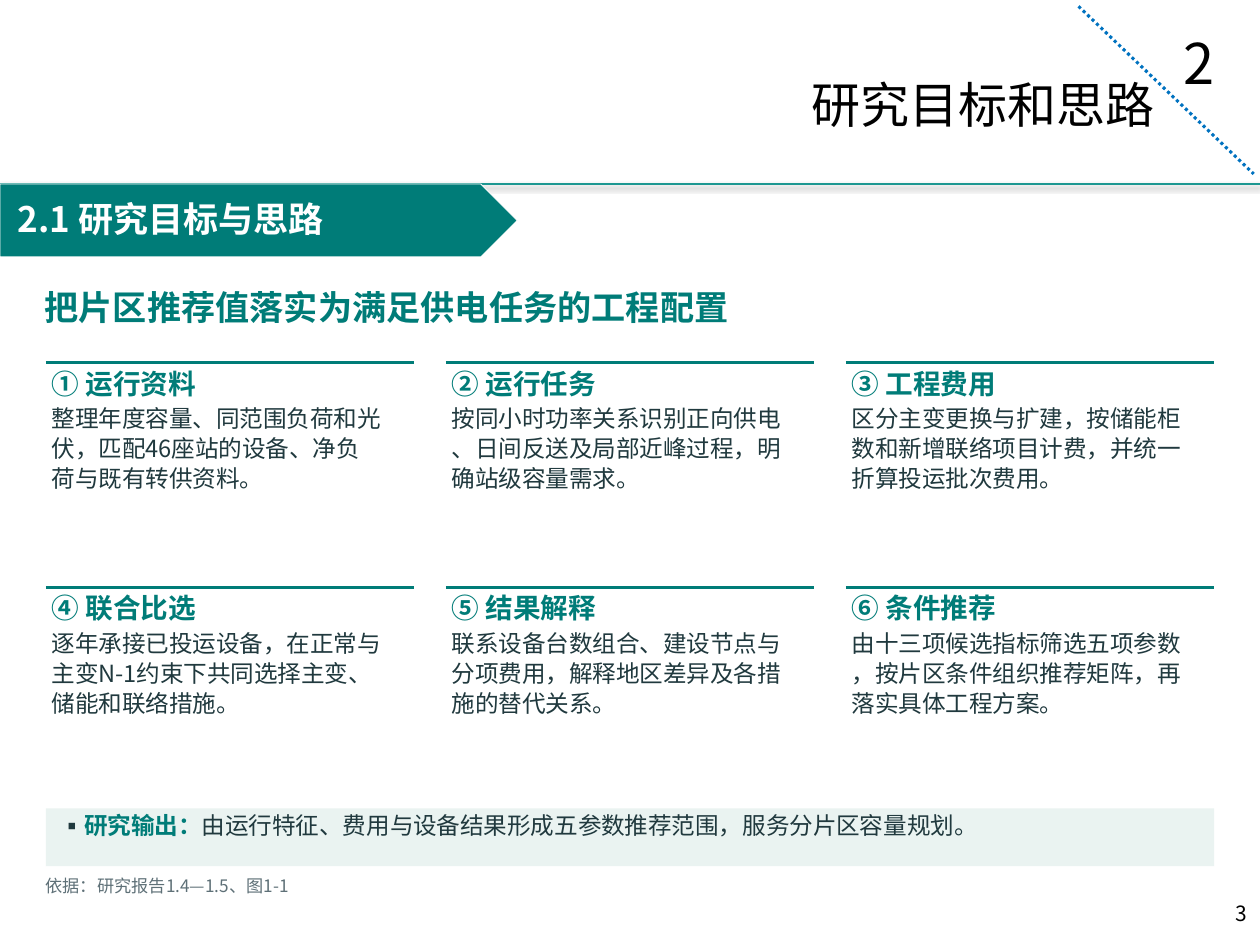
from lxml import etree
from pptx import Presentation
from pptx.dml.color import RGBColor
from pptx.enum import dml, shapes, text
from pptx.oxml import ns
from pptx.util import Pt

FACE = "Noto Sans CJK SC"
TEAL = RGBColor(0x00, 0x7C, 0x78)
SEA = RGBColor(0x1C, 0x97, 0x91)
BLUE = RGBColor(0x00, 0x72, 0xC0)
MINT = RGBColor(0xEA, 0xF3, 0xF1)
INK = RGBColor(0x20, 0x39, 0x3E)
GREY = RGBColor(0x5E, 0x70, 0x77)
BLACK = RGBColor(0, 0, 0)
WHITE = RGBColor(255, 255, 255)

CARDS = [
    ("① 运行资料", "整理年度容量、同范围负荷和光\n伏，匹配46座站的设备、净负\n荷与既有转供资料。"),
    ("② 运行任务", "按同小时功率关系识别正向供电\n、日间反送及局部近峰过程，明\n确站级容量需求。"),
    ("③ 工程费用", "区分主变更换与扩建，按储能柜\n数和新增联络项目计费，并统一\n折算投运批次费用。"),
    ("④ 联合比选", "逐年承接已投运设备，在正常与\n主变N-1约束下共同选择主变、\n储能和联络措施。"),
    ("⑤ 结果解释", "联系设备台数组合、建设节点与\n分项费用，解释地区差异及各措\n施的替代关系。"),
    ("⑥ 条件推荐", "由十三项候选指标筛选五项参数\n，按片区条件组织推荐矩阵，再\n落实具体工程方案。"),
]


def place(shape, box):
    shape.left, shape.top, shape.width, shape.height = map(Pt, box)


def style(font, size, color, bold=False):
    font.name = FACE
    font.size = Pt(size)
    font.bold = bold
    font.color.rgb = color
    latin = font._element.find(ns.qn("a:latin"))
    east = etree.Element(ns.qn("a:ea"), typeface=FACE)
    latin.addnext(east)


def frame(shape, pads=(0, 0, 0, 0), wrap=False):
    tf = shape.text_frame
    tf.margin_left, tf.margin_top, tf.margin_right, tf.margin_bottom = map(Pt, pads)
    tf.word_wrap = wrap
    tf.auto_size = text.MSO_AUTO_SIZE.NONE
    tf.vertical_anchor = text.MSO_ANCHOR.TOP
    return tf


def label(slide, box, words, size, color, bold=False, pads=(0, 0, 0, 0), wrap=False):
    shape = slide.shapes.add_textbox(*map(Pt, box))
    para = frame(shape, pads, wrap).paragraphs[0]
    para.text = words
    style(para.font, size, color, bold)
    return para


def rule(slide, ends, color, width):
    line = slide.shapes.add_connector(shapes.MSO_CONNECTOR.STRAIGHT, *map(Pt, ends))
    line.line.color.rgb = color
    line.line.width = Pt(width)
    effect = etree.SubElement(line._element.spPr, ns.qn("a:effectLst"))
    return line, effect


def block(slide, kind, box, color):
    shape = slide.shapes.add_shape(kind, *map(Pt, box))
    shape.shadow.inherit = False
    shape.fill.solid()
    shape.fill.fore_color.rgb = color
    shape.line.fill.background()
    return shape


def header(slide, box):
    x, y, w, h = box
    line, effect = rule(slide, (x, y + h, x + w, y + h), SEA, 1.5)
    shade = etree.SubElement(effect, ns.qn("a:outerShdw"), blurRad=str(Pt(3.1)),
                             dist=str(Pt(1.8)), dir="5400000", algn="t", rotWithShape="0")
    tone = etree.SubElement(shade, ns.qn("a:srgbClr"), val="000000")
    etree.SubElement(tone, ns.qn("a:alpha"), val="35000")

    label(slide, (x + w - 51, y + 13, 24.5, 46), "2", 32, BLACK, pads=(7.2, 3.6, 0, 0))
    title = slide.shapes.title
    place(title, (x + w - 361.5, y + 39, 308.2, 41))
    para = frame(title, (0, 3.6, 7.2, 0), True).paragraphs[0]
    para.text = "研究目标和思路"
    para.alignment = text.PP_ALIGN.RIGHT
    style(para.font, 28, BLACK)

    slash, _ = rule(slide, (x + w - 103.7, y + 3.6, x + w - 3.6, y + 99.4), BLUE, 1.75)
    slash.line.dash_style = dml.MSO_LINE.ROUND_DOT


def banner(slide, box):
    x, y, w, h = box
    tag = block(slide, shapes.MSO_SHAPE.PENTAGON, box, TEAL)
    tag.line.color.rgb = WHITE
    tag.line.width = Pt(0.5)
    label(slide, (x + 2.9, y + 4.3, w - 22, h - 10), "2.1 研究目标与思路",
          20, WHITE, True, (7.2, 3.6, 0, 0))


def card(slide, box, head, body):
    x, y, w, h = box
    rule(slide, (x, y, x + w, y), TEAL, 1.5)
    label(slide, (x + 3.3, y + 2.2, 84, 24.5), head, 15.8, TEAL, True)
    para = label(slide, (x + 3.3, y + 22.6, 190, 55.5), body, 13.5, INK)
    para.line_spacing = Pt(17.2)


def grid(slide, box, cols=3, gap=18.1, step=128.4):
    x, y, w, h = box
    wide = (w - gap * (cols - 1)) / cols
    for i, (head, body) in enumerate(CARDS):
        row, col = divmod(i, cols)
        spot = (x + col * (wide + gap), y + row * step, wide, h - step)
        card(slide, spot, head, body)


def result(slide, box):
    x, y, w, h = box
    band = block(slide, shapes.MSO_SHAPE.RECTANGLE, box, MINT)
    body = slide.placeholders[1]
    body._element.addprevious(band._element)
    place(body, (x + 8.6, y + 1.4, w - 17, 21))
    para = frame(body, wrap=True).paragraphs[0]
    props = para._p.get_or_add_pPr()
    props.set("marL", str(Pt(11.5)))
    props.set("indent", str(Pt(-11.5)))
    tint = etree.SubElement(props, ns.qn("a:buClr"))
    etree.SubElement(tint, ns.qn("a:srgbClr"), val=str(INK))
    etree.SubElement(props, ns.qn("a:buFont"), typeface=FACE)
    etree.SubElement(props, ns.qn("a:buChar"), char="▪")
    para.space_before = Pt(0)
    parts = [("研究输出：", TEAL, True),
             ("由运行特征、费用与设备结果形成五参数推荐范围，服务分片区容量规划。", INK, False)]
    for words, color, bold in parts:
        run = para.add_run()
        run.text = words
        style(run.font, 13.5, color, bold)


def footer(slide, box):
    x, y, w, h = box
    label(slide, (x, y, 151, 15), "依据：研究报告1.4—1.5、图1-1", 9.8, GREY)
    page = label(slide, (x + w - 162, y + 10.8, 162, 28.8), "3", 12, BLACK,
                 pads=(0, 3.6, 7.2, 0), wrap=True)
    page.alignment = text.PP_ALIGN.RIGHT


def main():
    deck = Presentation()
    deck.slide_width, deck.slide_height = Pt(720), Pt(540)
    slide = deck.slides.add_slide(deck.slide_layouts[1])
    header(slide, (0, 0, 720, 105.2))
    banner(slide, (0, 105.2, 295.6, 41.6))
    label(slide, (25.5, 163.4, 415, 30), "把片区推荐值落实为满足供电任务的工程配置", 19.5, TEAL, True)
    grid(slide, (26.2, 207.2, 667.6, 240))
    result(slide, (26.2, 462, 667.6, 33))
    footer(slide, (26, 500.4, 694, 39.6))
    deck.save("out.pptx")


if __name__ == "__main__":
    main()
